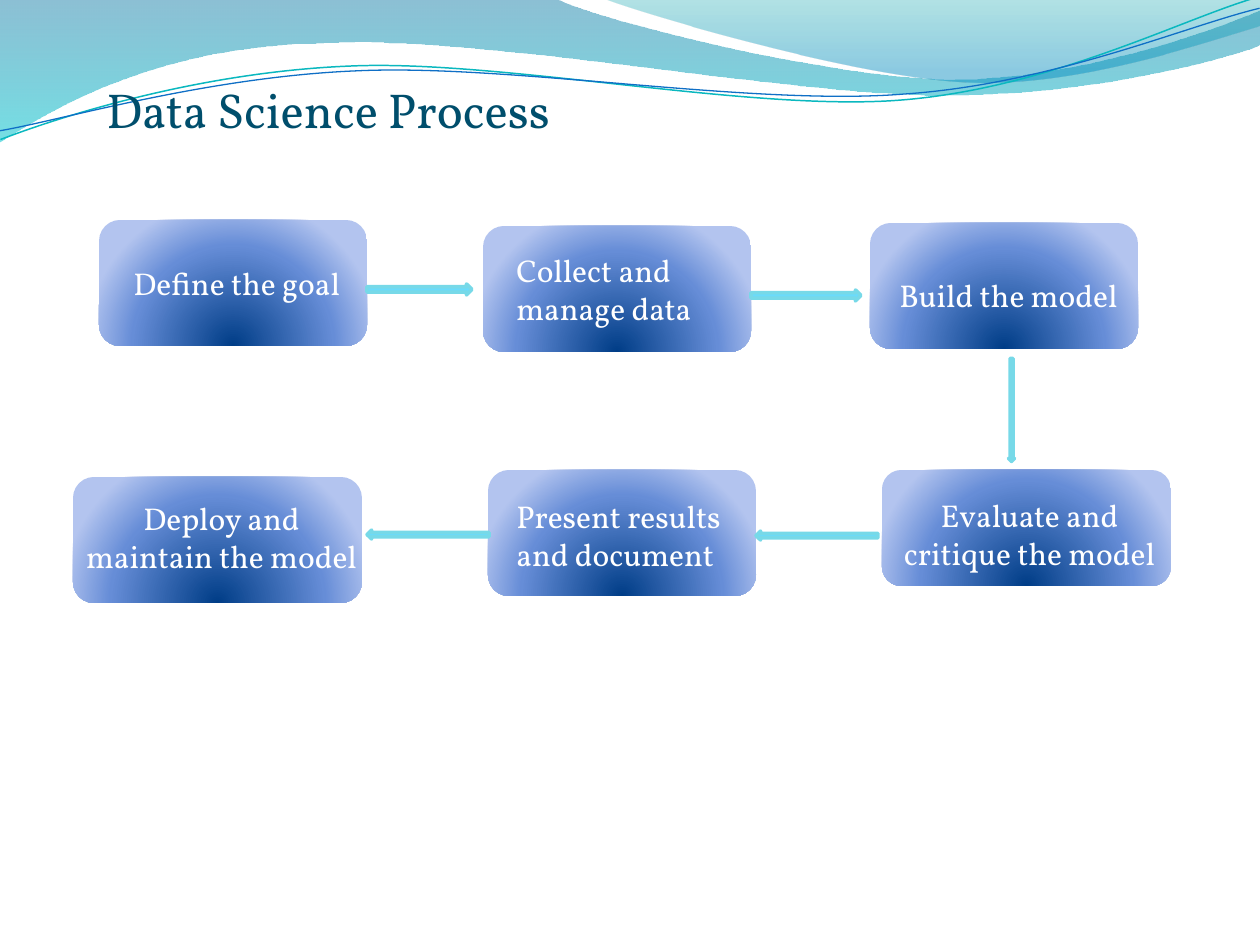
"""Build the Data Science Process slide: a six-step flow under a wave banner."""
from lxml import etree
from pptx import Presentation
from pptx.dml.color import RGBColor
from pptx.enum.shapes import MSO_SHAPE
from pptx.enum.text import MSO_AUTO_SIZE, PP_ALIGN
from pptx.oxml import parse_xml
from pptx.oxml.ns import nsdecls, qn
from pptx.util import Pt

ROUNDED, ARROW = MSO_SHAPE.ROUNDED_RECTANGLE, MSO_SHAPE.RIGHT_ARROW
FIT, LEFT, CENTER = MSO_AUTO_SIZE.SHAPE_TO_FIT_TEXT, PP_ALIGN.LEFT, PP_ALIGN.CENTER
PX = 914400 / 126
DOWNWARD = '<a:lin ang="5400000" scaled="1"/>'
FROM_BELOW = '<a:path path="circle"><a:fillToRect l="50000" t="130000" r="50000" b="-30000"/></a:path>'
STEP_STOPS = [(0, "003D87", 100), (68, "668DD7", 100), (100, "B3C4EF", 100)]


def emu(*lengths):
    return [round(length * PX) for length in lengths]


def fill_gradient(shape, stops, direction):
    shape.fill.background()
    stop_xml = "".join(
        f'<a:gs pos="{pos * 1000}"><a:srgbClr val="{color}"><a:alpha val="{alpha * 1000}"/></a:srgbClr></a:gs>'
        for pos, color, alpha in stops
    )
    gradient = parse_xml(
        f'<a:gradFill {nsdecls("a")} rotWithShape="1"><a:gsLst>{stop_xml}</a:gsLst>{direction}</a:gradFill>'
    )
    properties = shape.fill._xPr
    properties.replace(properties.find(qn("a:noFill")), gradient)


prs = Presentation()
prs.slide_width, prs.slide_height = emu(1260, 945)
slide = prs.slides.add_slide(prs.slide_layouts[6])
shapes = slide.shapes

waves = [
    {"start": (0, 0), "stops": [(0, "0074A1", 45), (100, "00C6CF", 55)], "segments": [
        (556, -1), (600, 21, 837, 79, 955, 79), (1075, 79, 1207, 33, 1260, 11), (1261, 45),
        (1239, 55, 1096, 96, 940, 95), (784, 95, 481, 35, 324, 43), (163, 45, 58, 105, -1, 142)]},
    {"start": (604, -1), "stops": [(0, "00A1A9", 30), (80, "008BBF", 45)], "segments": [
        (641, 14, 859, 78, 969, 82), (1079, 87, 1211, 40, 1260, 26), (1260, 0)]},
    {"start": (-2, 110), "line": ("0AB8BF", 0.85), "segments": [
        (58, 90, 199, 52, 350, 53), (499, 53, 745, 117, 896, 113), (1048, 109, 1184, 45, 1260, 27)]},
    {"start": (-2, 101), "line": ("0F6FC6", 0.75), "segments": [
        (57, 94, 207, 57, 357, 58), (509, 58, 750, 112, 902, 107), (1052, 104, 1188, 52, 1262, 38)]},
]
for wave in waves:
    builder = shapes.build_freeform(*emu(*wave["start"]), scale=1.0)
    for segment in wave["segments"]:
        builder.add_line_segments(
            [emu(*point) for point in zip(segment[::2], segment[1::2])], close=False)
    ribbon = builder.convert_to_shape()
    trace = ribbon._element.find(".//" + qn("a:path"))
    vertices = iter(trace.findall(qn("a:lnTo")))
    for segment in wave["segments"]:
        corners = [next(vertices) for _ in segment[::2]]
        if len(corners) == 3:
            curve = etree.Element(qn("a:cubicBezTo"))
            corners[0].addprevious(curve)
            for corner in corners:
                curve.append(corner[0])
                trace.remove(corner)
    ribbon.shadow.inherit = False
    if "stops" in wave:
        etree.SubElement(trace, qn("a:close"))
        fill_gradient(ribbon, wave["stops"], DOWNWARD)
        ribbon.line.fill.background()
    else:
        color, width = wave["line"]
        ribbon.rotation = 357.3
        ribbon.fill.background()
        ribbon.line.color.rgb = RGBColor.from_string(color)
        ribbon.line.width = Pt(width)

step_boxes = [
    (99, 220, 268, 126), (483, 226, 268, 126), (870, 223, 268, 126),
    (882, 470, 289, 116), (488, 470, 268, 126), (73, 477, 289, 126),
]
for box in step_boxes:
    step_box = shapes.add_shape(ROUNDED, *emu(*box))
    step_box.shadow.inherit = False
    fill_gradient(step_box, STEP_STOPS, FROM_BELOW)
    step_box.line.fill.background()

flow_arrows = [
    (367, 284, 105, 11, 0), (751, 290, 110, 11, 0), (960, 407, 103, 6, 90),
    (756, 531, 122, 9, 180), (367, 530, 122, 9, 180),
]
for *box, turn in flow_arrows:
    arrow = shapes.add_shape(ARROW, *emu(*box))
    arrow.rotation = turn
    arrow.shadow.inherit = False
    arrow.fill.solid()
    arrow.fill.fore_color.rgb = RGBColor.from_string("6BDBFA")
    arrow.line.color.rgb = RGBColor.from_string("77D9E8")
    arrow.line.width = Pt(2)

labels = [
    ("Data Science Process", (94, 73, 798, 72), LEFT, 28, "004E6C"),
    ("Define the goal", (121, 258, 242, 50), LEFT, 18, "FFFFFF"),
    ("Collect and manage data", (504, 245, 272, 89), LEFT, 18, "FFFFFF"),
    ("Build the model", (887, 270, 289, 50), LEFT, 18, "FFFFFF"),
    ("Evaluate and critique the model", (887, 490, 285, 89), CENTER, 18, "FFFFFF"),
    ("Present results and document", (504, 491, 242, 89), LEFT, 18, "FFFFFF"),
    ("Deploy and maintain the model", (73, 493, 297, 89), CENTER, 18, "FFFFFF"),
]
for wording, box, align, size, color in labels:
    frame = shapes.add_textbox(*emu(*box)).text_frame
    frame.word_wrap = True
    frame.auto_size = FIT
    paragraph = frame.paragraphs[0]
    paragraph.alignment = align
    run = paragraph.add_run()
    run.text = wording
    for attribute, value in {"name": "Vollkorn", "size": Pt(size)}.items():
        setattr(run.font, attribute, value)
    run.font.color.rgb = RGBColor.from_string(color)

prs.save("out.pptx")
